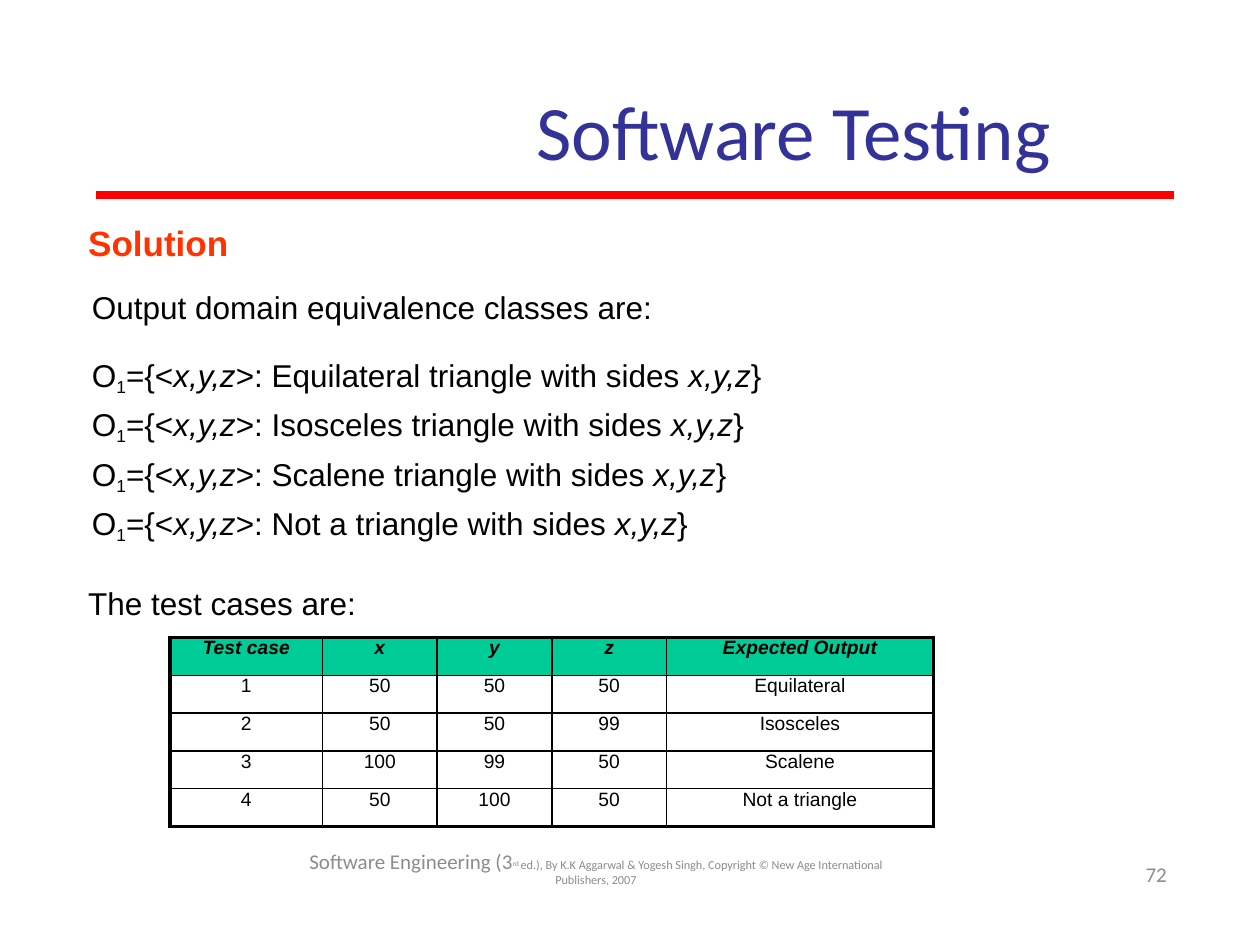
from lxml import etree
from pptx import Presentation, util as u
from pptx.dml.color import RGBColor
from pptx.enum import shapes, text
from pptx.oxml.ns import qn

# Content
TITLE = "Software Testing"
HEADING = "Solution"
INTRO = "Output domain equivalence classes are:"
CLASSES = ["Equilateral triangle", "Isosceles triangle", "Scalene triangle", "Not a triangle"]
TABLE_INTRO = "The test cases are:"
HEADER = ["Test case", "x", "y", "z", "Expected Output"]
TEST_CASES = [
    ["1", "50", "50", "50", "Equilateral"],
    ["2", "50", "50", "99", "Isosceles"],
    ["3", "100", "99", "50", "Scalene"],
    ["4", "50", "100", "50", "Not a triangle"],
]
COLUMN_WIDTHS = [1.21, 0.91, 0.91, 0.91, 2.12]
ROW_HEIGHT = 0.3
FOOTER = [
    ("Software Engineering (3", 12, 0),
    ("rd ", 7, 22),
    ("ed.), By K.K Aggarwal & Yogesh Singh, Copyright © New Age International Publishers, 2007", 7, 0),
]
PAGE_NUMBER = "72"
COLORS = {"title": "323299", "rule": "FF0000", "heading": "FF3200", "body": "000000",
          "header": "00CC98", "footer": "8C8C8C"}


def color(name):
    return RGBColor.from_string(COLORS[name])


def add_run(paragraph, words, size, ink="body", face="Arial", bold=False, italic=False, baseline=0):
    run = paragraph.add_run()
    run.text = words
    font = run.font
    font.size, font.name, font.bold, font.italic = u.Pt(size), face, bold, italic
    font.color.rgb = color(ink)
    if baseline:
        run._r.get_or_add_rPr().set("baseline", str(baseline * 1000))


def add_box(slide, left, top, width, height, anchor=text.MSO_ANCHOR.MIDDLE):
    frame = slide.shapes.add_textbox(*map(u.Inches, (left, top, width, height))).text_frame
    frame.word_wrap = True
    frame.vertical_anchor = anchor
    frame.margin_left = frame.margin_top = frame.margin_right = frame.margin_bottom = 0
    return frame


def add_paragraph(frame, before, indent):
    paragraph = frame.add_paragraph()
    paragraph.space_before = u.Pt(before)
    paragraph._p.get_or_add_pPr().set("marL", str(u.Inches(indent)))
    return paragraph


def set_borders(cell, widths):
    properties = cell._tc.get_or_add_tcPr()
    for position, (side, width) in enumerate(widths.items()):
        line = etree.Element(qn(f"a:ln{side}"), w=str(u.Pt(width)))
        fill = etree.SubElement(line, qn("a:solidFill"))
        etree.SubElement(fill, qn("a:srgbClr"), val=COLORS["body"])
        properties.insert(position, line)


def add_body(slide):
    frame = add_box(slide, 0.69, 1.76, 6.6, 3.08, text.MSO_ANCHOR.TOP)
    heading = frame.paragraphs[0]
    heading._p.get_or_add_pPr().set("marL", str(u.Inches(0.01)))
    add_run(heading, HEADING, 20, "heading", bold=True)
    add_run(add_paragraph(frame, 14, 0.04), INTRO, 18)
    for number, triangle in enumerate(CLASSES):
        line = add_paragraph(frame, 0 if number else 12.3, 0.04)
        line.line_spacing = 1.2
        add_run(line, "O", 18)
        add_run(line, "1", 17, baseline=-21)
        add_run(line, "={<", 18)
        add_run(line, "x,y,z", 18, italic=True)
        add_run(line, f">: {triangle} with sides ", 18)
        add_run(line, "x,y,z", 18, italic=True)
        add_run(line, "}", 18)
    add_run(add_paragraph(frame, 22, 0.01), TABLE_INTRO, 18)


def add_test_table(slide):
    rows = [HEADER] + TEST_CASES
    last_row, last_column = len(rows) - 1, len(HEADER) - 1
    table = slide.shapes.add_table(
        len(rows), len(HEADER), u.Inches(1.35), u.Inches(5.06),
        u.Inches(sum(COLUMN_WIDTHS)), u.Inches(ROW_HEIGHT * len(rows))).table
    table.horz_banding = False
    for column, width in zip(table.columns, COLUMN_WIDTHS):
        column.width = u.Inches(width)
    for r, values in enumerate(rows):
        table.rows[r].height = u.Inches(ROW_HEIGHT)
        for c, value in enumerate(values):
            cell = table.cell(r, c)
            cell.margin_left = cell.margin_top = cell.margin_right = cell.margin_bottom = 0
            is_header = r == 0
            if is_header:
                cell.fill.solid()
                cell.fill.fore_color.rgb = color("header")
            else:
                cell.fill.background()
            paragraph = cell.text_frame.paragraphs[0]
            paragraph.alignment = text.PP_ALIGN.CENTER
            add_run(paragraph, value, 11, bold=is_header, italic=is_header)
            outer = {"L": c == 0, "R": c == last_column, "T": is_header, "B": r == last_row}
            set_borders(cell, {side: 2.25 if edge else 1 for side, edge in outer.items()})


def main():
    deck = Presentation()
    deck.slide_width, deck.slide_height = u.Inches(10), u.Inches(7.5)
    slide = deck.slides.add_slide(deck.slide_layouts[6])

    # Title and rule
    title = add_box(slide, 3.1, 0.66, 6.4, 0.74).paragraphs[0]
    title.alignment = text.PP_ALIGN.CENTER
    add_run(title, TITLE, 44, "title", "Calibri")
    rule = slide.shapes.add_connector(
        shapes.MSO_CONNECTOR.STRAIGHT, *map(u.Inches, (0.76, 1.55, 9.32, 1.55)))
    rule.line.color.rgb = color("rule")
    rule.line.width = u.Pt(4.5)
    etree.SubElement(rule._element.spPr, qn("a:effectLst"))

    # Equivalence classes and test cases
    add_body(slide)
    add_test_table(slide)

    # Page number and footer
    page = add_box(slide, 8.34, 6.76, 0.92, 0.37).paragraphs[0]
    page.alignment = text.PP_ALIGN.RIGHT
    page.line_spacing = u.Pt(13.2)
    add_run(page, PAGE_NUMBER, 12, "footer", "Calibri")
    footer = add_box(slide, 2.26, 6.82, 4.94, 0.22).paragraphs[0]
    footer.alignment = text.PP_ALIGN.CENTER
    footer.line_spacing = u.Pt(7.8)
    for words, size, baseline in FOOTER:
        add_run(footer, words, size, "footer", "Calibri", baseline=baseline)

    deck.save("out.pptx")


if __name__ == "__main__":
    main()
